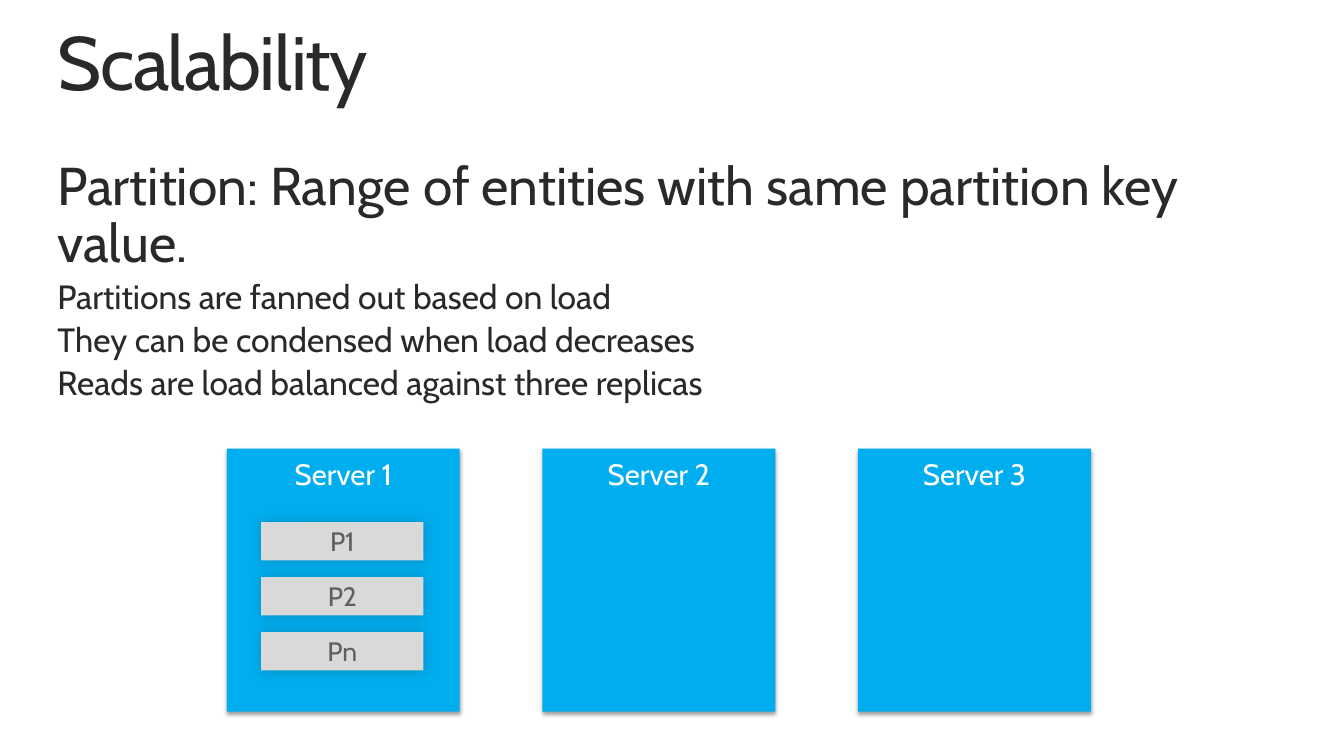
from lxml.etree import SubElement
from pptx import Presentation
from pptx.dml.color import RGBColor
from pptx.enum.shapes import MSO_SHAPE
from pptx.enum.text import MSO_ANCHOR, PP_ALIGN
from pptx.oxml.ns import qn
from pptx.util import Inches, Pt

FONT = "Cabin"
COLORS = {
    "text": "292929",
    "server": "00AEEF",
    "server_text": "FFFFFF",
    "partition": "D9D9D9",
    "partition_text": "5F5F5F",
    "shadow": "000000",
}
# Shadow settings: colour, opacity in percent, blur, distance, direction in degrees
SERVER_SHADOW = (COLORS["shadow"], 38, 3.1, 1.6, 90)
PARTITION_SHADOW = (COLORS["text"], 26, 10, 0, 0)


def style_runs(paragraph, size, color):
    for run in paragraph.runs:
        run.font.name = FONT
        run.font.size = Pt(size)
        run.font.color.rgb = RGBColor.from_string(color)


def set_margins(frame, horizontal, vertical):
    frame.margin_left = frame.margin_right = Inches(horizontal)
    frame.margin_top = frame.margin_bottom = Inches(vertical)


def add_text(slide, left, top, width, height, lines):
    """Add a text box from (text, size) lines."""
    box = slide.shapes.add_textbox(
        Inches(left), Inches(top), Inches(width), Inches(height))
    frame = box.text_frame
    frame.word_wrap = True
    set_margins(frame, 0, 0)
    frame.text = "\n".join(text for text, size in lines)
    for index, (paragraph, (text, size)) in enumerate(zip(frame.paragraphs, lines)):
        paragraph.line_spacing = 0.9
        paragraph.space_before = Pt(size * 0.2 if index else 0)
        style_runs(paragraph, size, COLORS["text"])
    return frame


def add_shadow(block, color, opacity, blur, distance, direction):
    block.shadow.inherit = False
    effects = block._element.spPr.find(qn("a:effectLst"))
    shadow = SubElement(
        effects, qn("a:outerShdw"), blurRad=str(Pt(blur)), dist=str(Pt(distance)),
        dir=str(direction * 60000), algn="ctr", rotWithShape="0")
    shade = SubElement(shadow, qn("a:srgbClr"), val=color)
    SubElement(shade, qn("a:alpha"), val=str(opacity * 1000))


def add_block(slide, left, top, width, height, label, size, fill, color, anchor, shadow):
    block = slide.shapes.add_shape(
        MSO_SHAPE.RECTANGLE, Inches(left), Inches(top), Inches(width), Inches(height))
    block.fill.solid()
    block.fill.fore_color.rgb = RGBColor.from_string(fill)
    block.line.fill.background()
    add_shadow(block, *shadow)
    frame = block.text_frame
    set_margins(frame, 0.13, 0.07)
    frame.vertical_anchor = anchor
    frame.text = label
    frame.paragraphs[0].alignment = PP_ALIGN.CENTER
    style_runs(frame.paragraphs[0], size, color)


def add_server(slide, left, label):
    add_block(slide, left, 4.45, 2.31, 2.61, label, 21, COLORS["server"],
              COLORS["server_text"], MSO_ANCHOR.TOP, SERVER_SHADOW)


def add_partition(slide, top, label):
    add_block(slide, 2.59, top, 1.61, 0.38, label, 19, COLORS["partition"],
              COLORS["partition_text"], MSO_ANCHOR.MIDDLE, PARTITION_SHADOW)


def main():
    presentation = Presentation()
    presentation.slide_width = Inches(13.33)
    presentation.slide_height = Inches(7.5)
    slide = presentation.slides.add_slide(presentation.slide_layouts[6])

    # Title with tightened letter spacing
    title = add_text(slide, 0.57, 0.25, 12.2, 0.82, [("Scalability", 54)])
    title.paragraphs[0].runs[0]._r.get_or_add_rPr().set("spc", "-100")

    # Explanation of partitions
    add_text(slide, 0.57, 1.58, 12.19, 1.91, [
        ("Partition: Range of entities with same partition key value.", 38),
        ("Partitions are fanned out based on load", 24),
        ("They can be condensed when load decreases", 24),
        ("Reads are load balanced against three replicas", 24),
    ])

    # Servers, with the partitions held by the first one
    for column in range(3):
        add_server(slide, 2.25 + column * 3.13, f"Server {column + 1}")
    for row, label in enumerate(("P1", "P2", "Pn")):
        add_partition(slide, 5.18 + row * 0.545, label)

    presentation.save("out.pptx")


if __name__ == "__main__":
    main()
